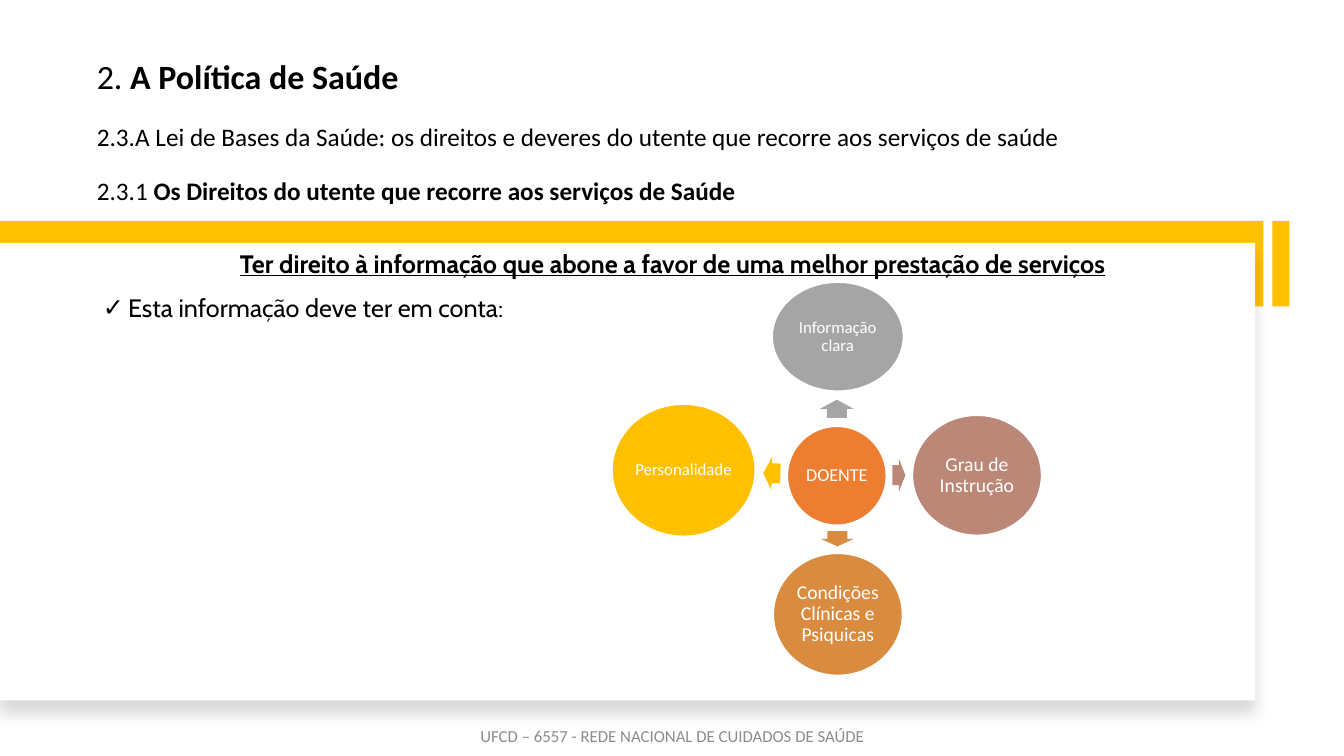
import pptx
import pptx.util
import pptx.dml.color
import pptx.enum.shapes
import pptx.enum.text
import pptx.oxml
import pptx.oxml.ns

Inches = pptx.util.Inches
Pt = pptx.util.Pt
RGBColor = pptx.dml.color.RGBColor
Shape = pptx.enum.shapes.MSO_SHAPE
Align = pptx.enum.text.PP_ALIGN
Anchor = pptx.enum.text.MSO_ANCHOR

BLACK = RGBColor(0x00, 0x00, 0x00)
WHITE = RGBColor(0xFF, 0xFF, 0xFF)
YELLOW = RGBColor(0xFF, 0xC0, 0x00)
ORANGE = RGBColor(0xED, 0x7D, 0x31)
GREY = RGBColor(0xA5, 0xA5, 0xA5)
ROSE = RGBColor(0xBB, 0x87, 0x76)
OCHRE = RGBColor(0xD9, 0x8C, 0x3F)
FOOTER_GREY = RGBColor(0x8C, 0x8C, 0x8C)

HEADINGS = [
    ("2. ", "A Política de Saúde", 24.3),
    ("2.3.A Lei de Bases da Saúde: os direitos e deveres do utente "
     "que recorre aos serviços de saúde", "", 18),
    ("2.3.1 ", "Os Direitos do utente que recorre aos serviços de Saúde", 18),
]

# text, left, top, width, height, text size, colour
CIRCLES = [
    ("DOENTE", 7.81, 4.23, 0.98, 0.98, 13, ORANGE),
    ("Informação clara", 7.66, 2.8, 1.3, 1.08, 12, GREY),
    ("Grau de Instrução", 9.05, 4.12, 1.28, 1.19, 14, ROSE),
    ("Condições Clínicas e Psiquicas", 7.67, 5.49, 1.28, 1.21, 14, OCHRE),
    ("Personalidade", 6.07, 4.01, 1.42, 1.31, 12, YELLOW),
]

# left, top, width, rotation, colour
ARROWS = [
    (8.21, 3.89, 0.18, 270, GREY),
    (8.85, 4.55, 0.13, 0, ROSE),
    (8.23, 5.18, 0.15, 90, OCHRE),
    (7.57, 4.53, 0.17, 181.7, YELLOW),
]


def place(shape, left, top, width, height):
    shape.left, shape.top = Inches(left), Inches(top)
    shape.width, shape.height = Inches(width), Inches(height)


def set_font(para, name, size, color, bold=None):
    para.font.name = name
    para.font.size = Pt(size)
    para.font.color.rgb = color
    para.font.bold = bold


def set_frame(frame, anchor):
    frame.word_wrap = True
    frame.auto_size = pptx.enum.text.MSO_AUTO_SIZE.NONE
    frame.vertical_anchor = anchor


def add_filled(page, kind, left, top, width, height, color):
    shape = page.shapes.add_shape(
        kind, Inches(left), Inches(top), Inches(width), Inches(height))
    shape.shadow.inherit = False
    shape.fill.solid()
    shape.fill.fore_color.rgb = color
    shape.line.fill.background()
    return shape


def add_soft_shadow(shape):
    effects = shape.element.spPr.find(pptx.oxml.ns.qn("a:effectLst"))
    effects.append(pptx.oxml.parse_xml(
        f'<a:outerShdw {pptx.oxml.ns.nsdecls("a")} blurRad="{Pt(11)}" '
        f'dist="{Pt(10)}" dir="5400000" algn="t" rotWithShape="0">'
        '<a:srgbClr val="000000"><a:alpha val="15000"/></a:srgbClr>'
        '</a:outerShdw>'))


def set_bullet(para, char=None, indent=0):
    """Give the paragraph a hanging bullet, or none at all."""
    props = para._p.get_or_add_pPr()
    props.set("marL", str(Inches(indent)))
    props.set("indent", str(-Inches(indent)))
    tag = f'a:buChar char="{char}"' if char else "a:buNone"
    props.append(pptx.oxml.parse_xml(
        f'<{tag} {pptx.oxml.ns.nsdecls("a")}/>'))


def fill_title(title):
    place(title, 0.86, 0.55, 9.97, 1.63)
    frame = title.text_frame
    set_frame(frame, Anchor.TOP)
    for index, (plain, strong, size) in enumerate(HEADINGS):
        para = frame.add_paragraph() if index else frame.paragraphs[0]
        para.alignment = Align.LEFT
        para.line_spacing = 0.9
        para.space_before = Pt(19.5 if index else 0)
        set_font(para, "Calibri", size, BLACK, False)
        para.add_run().text = plain
        if strong:
            span = para.add_run()
            span.text = strong
            span.font.bold = True


def fill_body(body):
    place(body, 0.92, 2.41, 11.5, 4.35)
    frame = body.text_frame
    set_frame(frame, Anchor.TOP)
    lead, point = frame.paragraphs[0], frame.add_paragraph()
    lead.text = ("Ter direito à informação que abone a favor de uma "
                 "melhor prestação de serviços")
    point.text = "Esta informação deve ter em conta:"
    for para in (lead, point):
        para.space_before = Pt(10)
        set_font(para, "Cabin", 18, BLACK, para is lead)
    lead.alignment, point.alignment = Align.CENTER, Align.JUSTIFY
    lead.font.underline = True
    set_bullet(lead)
    set_bullet(point, "✓", 0.25)


def add_footer(page):
    box = page.shapes.add_textbox(
        Inches(4.42), Inches(7.1), Inches(4.5), Inches(0.4))
    set_frame(box.text_frame, Anchor.MIDDLE)
    para = box.text_frame.paragraphs[0]
    para.text = "UFCD – 6557 - REDE NACIONAL DE CUIDADOS DE SAÚDE"
    para.alignment = Align.CENTER
    set_font(para, "Calibri", 12, FOOTER_GREY)


def add_circle(page, text, left, top, width, height, size, color):
    circle = add_filled(page, Shape.OVAL, left, top, width, height, color)
    circle.line.color.rgb = WHITE
    circle.line.width = Pt(1)
    frame = circle.text_frame
    set_frame(frame, Anchor.MIDDLE)
    frame.margin_left = frame.margin_right = Inches(0.02)
    frame.margin_top = frame.margin_bottom = Inches(0.02)
    para = frame.paragraphs[0]
    para.text = text
    para.alignment = Align.CENTER
    para.line_spacing = 0.9
    set_font(para, "Calibri", size, WHITE)


def add_arrow(page, left, top, width, rotation, color):
    arrow = add_filled(page, Shape.RIGHT_ARROW, left, top, width, 0.33, color)
    arrow.adjustments[0] = 0.6
    arrow.adjustments[1] = 0.5
    arrow.rotation = rotation


def main():
    deck = pptx.Presentation()
    deck.slide_width, deck.slide_height = Inches(13.33), Inches(7.5)
    page = deck.slides.add_slide(deck.slide_layouts[1])
    body = page.placeholders[1]

    fill_title(page.shapes.title)
    add_filled(page, Shape.RECTANGLE, 12.62, 2.19, 0.17, 0.85, YELLOW)
    add_filled(page, Shape.RECTANGLE, 0, 2.19, 12.53, 0.85, YELLOW)
    panel = add_filled(page, Shape.RECTANGLE, 0, 2.41, 12.45, 4.54, WHITE)
    add_soft_shadow(panel)
    add_footer(page)

    fill_body(body)
    panel.element.getparent().append(body.element)  # in front of the panel

    for circle in CIRCLES:
        add_circle(page, *circle)
    for arrow in ARROWS:
        add_arrow(page, *arrow)
    deck.save("out.pptx")


if __name__ == "__main__":
    main()
